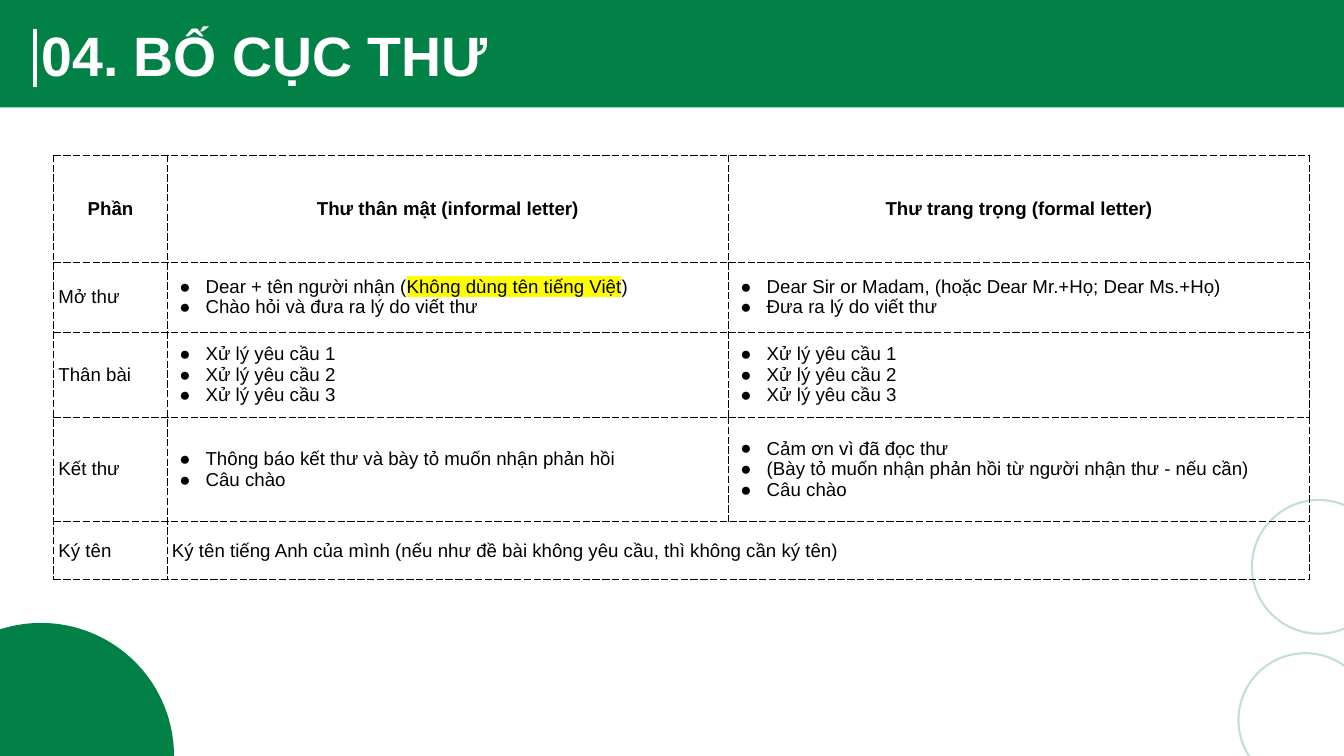
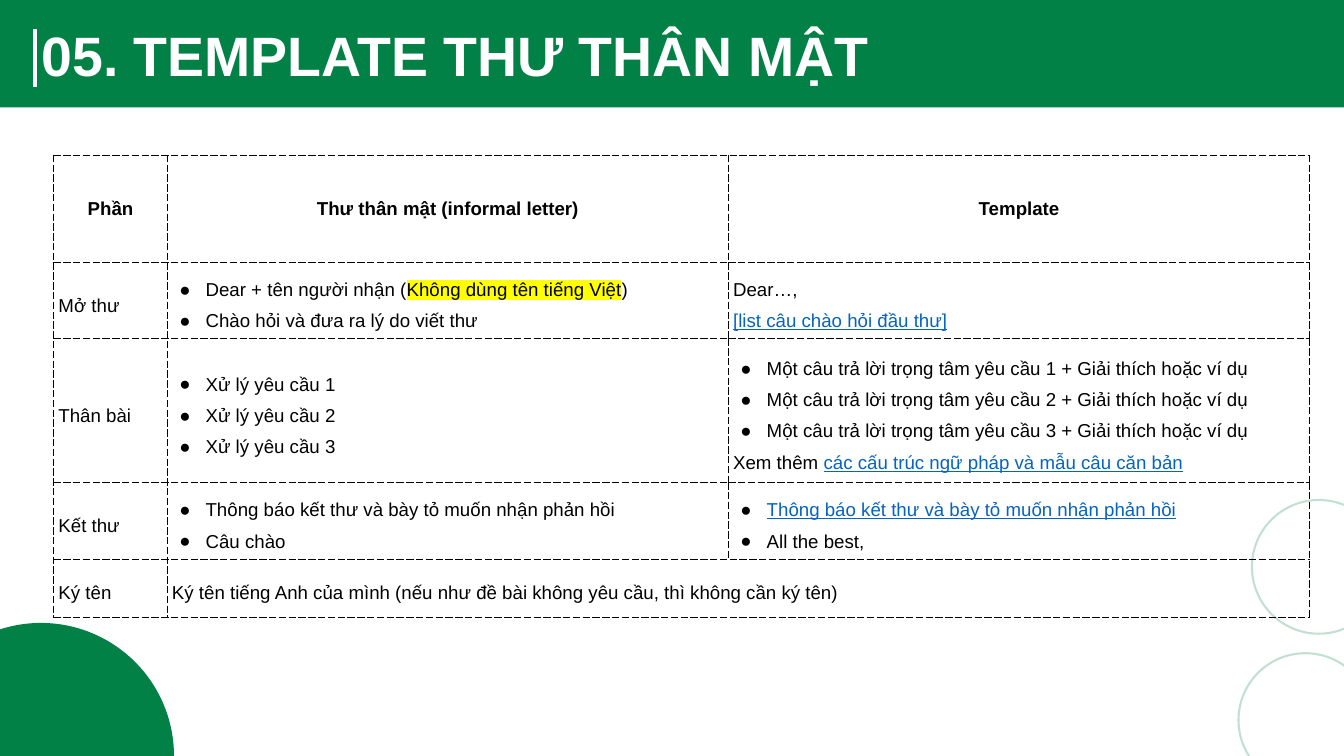
from typing import NamedTuple

from lxml import etree
from pptx import Presentation
from pptx.dml.color import RGBColor
from pptx.enum.shapes import MSO_CONNECTOR, MSO_SHAPE
from pptx.enum.text import MSO_ANCHOR, PP_ALIGN
from pptx.oxml import parse_xml
from pptx.oxml.ns import qn
from pptx.util import Inches, Pt

RECT = MSO_SHAPE.RECTANGLE
OVAL = MSO_SHAPE.OVAL
LINE = MSO_CONNECTOR.STRAIGHT
MIDDLE = MSO_ANCHOR.MIDDLE
CENTER = PP_ALIGN.CENTER

GREEN = RGBColor(0x01, 0x81, 0x46)
WHITE = RGBColor(0xFF, 0xFF, 0xFF)
BLACK = RGBColor(0, 0, 0)
BLUE = RGBColor(0x05, 0x63, 0xC1)
YELLOW = RGBColor(0xFF, 0xFF, 0)

FACE = "Arial"
SPACE = 'xmlns:a="http://schemas.openxmlformats.org/drawingml/2006/main"'
WIDTHS = (1.69, 8.35, 8.65)
SIDES = "LRTB"
THIN = {(0, 2): "B", (1, 2): "TB", (2, 1): "R", (2, 2): SIDES, (3, 2): "T"}


class Form(NamedTuple):
    kind: int
    left: float
    top: float
    width: float
    height: float
    solid: bool = True


class Piece(NamedTuple):
    text: str
    link: bool = False
    mark: bool = False


class Item(NamedTuple):
    pieces: tuple[Piece, ...]
    dot: bool = False


class Page(NamedTuple):
    title: str
    heights: tuple[float, ...]
    rows: tuple[tuple[tuple[Item, ...], ...], ...]
    spacing: float | None = None


DECOR = (
    Form(OVAL, 18.63, 7.44, 1.99, 1.99, False),
    Form(OVAL, 18.43, 9.72, 1.99, 1.99, False),
    Form(RECT, 0, 0, 20, 1.6),
    Form(OVAL, -1.37, 9.27, 3.96, 3.96),
)


def plain(*pieces: str | Piece) -> Item:
    return Item(tuple(Piece(piece) if isinstance(piece, str) else piece for piece in pieces))


def dots(*lines: str | Item) -> tuple[Item, ...]:
    items = (plain(line) if isinstance(line, str) else line for line in lines)
    return tuple(Item(item.pieces, True) for item in items)


def cells(*texts: str) -> tuple[tuple[Item, ...], ...]:
    return tuple((plain(text),) for text in texts)


HEAD, OPEN, BODY, CLOSE, SIGN = cells("Phần", "Mở thư", "Thân bài", "Kết thư", "Ký tên")
CASUAL, FORMAL, SAMPLE, NAME = cells(
    "Thư thân mật (informal letter)",
    "Thư trang trọng (formal letter)",
    "Template",
    "Ký tên tiếng Anh của mình (nếu như đề bài không yêu cầu, thì không cần ký tên)",
)
REPLY = "Thông báo kết thư và bày tỏ muốn nhận phản hồi"
BYE = "Câu chào"
GREET = dots(
    plain("Dear + tên người nhận (", Piece("Không dùng tên tiếng Việt", mark=True), ")"),
    "Chào hỏi và đưa ra lý do viết thư",
)
TASKS = dots(*(f"Xử lý yêu cầu {n}" for n in range(1, 4)))
ENDING = dots(REPLY, BYE)

PAGES = (
    Page(
        "04. BỐ CỤC THƯ",
        (1.59, 1.04, 1.27, 1.55, 0.87),
        (
            (HEAD, CASUAL, FORMAL),
            (OPEN, GREET, dots(
                "Dear Sir or Madam, (hoặc Dear Mr.+Họ; Dear Ms.+Họ)",
                "Đưa ra lý do viết thư",
            )),
            (BODY, TASKS, TASKS),
            (CLOSE, ENDING, dots(
                "Cảm ơn vì đã đọc thư",
                "(Bày tỏ muốn nhận phản hồi từ người nhận thư - nếu cần)",
                BYE,
            )),
            (SIGN, NAME),
        ),
    ),
    Page(
        "05. TEMPLATE THƯ THÂN MẬT",
        (1.59, 1.04, 1.27, 1.09, 0.87),
        (
            (HEAD, CASUAL, SAMPLE),
            (OPEN, GREET, (
                plain("Dear…,", "\n", Piece("[list câu chào hỏi đầu thư]", link=True)),
            )),
            (BODY, TASKS, dots(*(
                f"Một câu trả lời trọng tâm yêu cầu {n} + Giải thích hoặc ví dụ"
                for n in range(1, 4)
            )) + (
                plain("Xem thêm ", Piece("các cấu trúc ngữ pháp và mẫu câu căn bản", link=True)),
            )),
            (CLOSE, ENDING, dots(plain(Piece(REPLY, link=True)), "All the best,")),
            (SIGN, NAME),
        ),
        1.5,
    ),
)


def style(para, size: float, color: RGBColor, bold: bool) -> None:
    font = para.font
    font.name, font.size, font.bold = FACE, Pt(size), bold
    font.color.rgb = color


def draw_form(slide, form: Form) -> None:
    shape = slide.shapes.add_shape(form.kind, *map(Inches, form[1:5]))
    shape.shadow.inherit = False
    if form.solid:
        shape.fill.solid()
        shape.fill.fore_color.rgb = GREEN
        shape.line.fill.background()
        return
    shape.fill.background()
    shape.line.color.rgb = GREEN
    shape.line.width = Pt(2.25)
    color = shape._element.spPr.find(f"{qn('a:ln')}//{qn('a:srgbClr')}")
    etree.SubElement(color, qn("a:alpha"), val="24000")


def draw_title(slide, title: str) -> None:
    bar = slide.shapes.add_connector(LINE, *map(Inches, (0.52, 0.43, 0.52, 1.3)))
    bar.line.color.rgb = WHITE
    bar.line.width = Pt(4.5)
    etree.SubElement(bar._element.spPr, qn("a:effectLst"))
    frame = slide.shapes.add_textbox(*map(Inches, (0.52, 0.43, 18.96, 0.87))).text_frame
    frame.word_wrap = True
    frame.vertical_anchor = MIDDLE
    para = frame.paragraphs[0]
    para.text = title
    para.line_spacing = 0.9
    style(para, 59.4, WHITE, True)


def add_dot(para) -> None:
    props = para._p.get_or_add_pPr()
    props.set("marL", str(Inches(0.5)))
    props.set("indent", str(Inches(-0.39)))
    for xml in (
        f'<a:buClr {SPACE}><a:srgbClr val="{BLACK}"/></a:buClr>',
        f'<a:buFont {SPACE} typeface="{FACE}"/>',
        f'<a:buChar {SPACE} char="●"/>',
    ):
        props.append(parse_xml(xml))


def add_piece(para, piece: Piece) -> None:
    if piece.text == "\n":
        para.add_line_break()
        return
    run = para.add_run()
    run.text = piece.text
    if piece.link:
        run.font.color.rgb = BLUE
        run.font.underline = True
    if piece.mark:
        run._r.get_or_add_rPr().append(parse_xml(
            f'<a:highlight {SPACE}><a:srgbClr val="{YELLOW}"/></a:highlight>'
        ))


def set_edges(cell, thin: str) -> None:
    props = cell._tc.get_or_add_tcPr()
    for side in SIDES:
        width = Pt(0.75 if side in thin else 1)
        props.append(parse_xml(
            f'<a:ln{side} {SPACE} w="{width}"><a:solidFill><a:srgbClr val="{BLACK}"/>'
            f'</a:solidFill><a:prstDash val="dash"/></a:ln{side}>'
        ))
    cell.fill.background()


def fill_cell(cell, items: tuple[Item, ...], head: bool, spacing: float | None) -> None:
    frame = cell.text_frame
    for i, item in enumerate(items):
        para = frame.add_paragraph() if i else frame.paragraphs[0]
        if item.dot:
            add_dot(para)
        if head:
            para.alignment = CENTER
        elif spacing:
            para.line_spacing = spacing
        style(para, 20, BLACK, head)
        for piece in item.pieces:
            add_piece(para, piece)


def draw_table(slide, page: Page) -> None:
    size = len(page.heights), len(WIDTHS)
    box = 0.8, 2.31, sum(WIDTHS), sum(page.heights)
    table = slide.shapes.add_table(*size, *map(Inches, box)).table
    table.first_row = table.horz_banding = False
    for col, width in zip(table.columns, WIDTHS):
        col.width = Inches(width)
    for r, height in enumerate(page.heights):
        table.rows[r].height = Inches(height)
        for c in range(len(WIDTHS)):
            cell = table.cell(r, c)
            cell.vertical_anchor = MIDDLE
            cell.margin_left = cell.margin_right = Inches(0.07)
            cell.margin_top = cell.margin_bottom = Inches(0.07)
            set_edges(cell, THIN.get((r, c), ""))
        for c, items in enumerate(page.rows[r]):
            fill_cell(table.cell(r, c), items, r == 0, page.spacing)
    last = size[0] - 1
    table.cell(last, 1).merge(table.cell(last, 2))


def main() -> None:
    deck = Presentation()
    deck.slide_width, deck.slide_height = Inches(20), Inches(11.25)
    for page in PAGES:
        slide = deck.slides.add_slide(deck.slide_layouts[6])
        for form in DECOR:
            draw_form(slide, form)
        draw_title(slide, page.title)
        draw_table(slide, page)
    deck.save("out.pptx")


if __name__ == "__main__":
    main()
